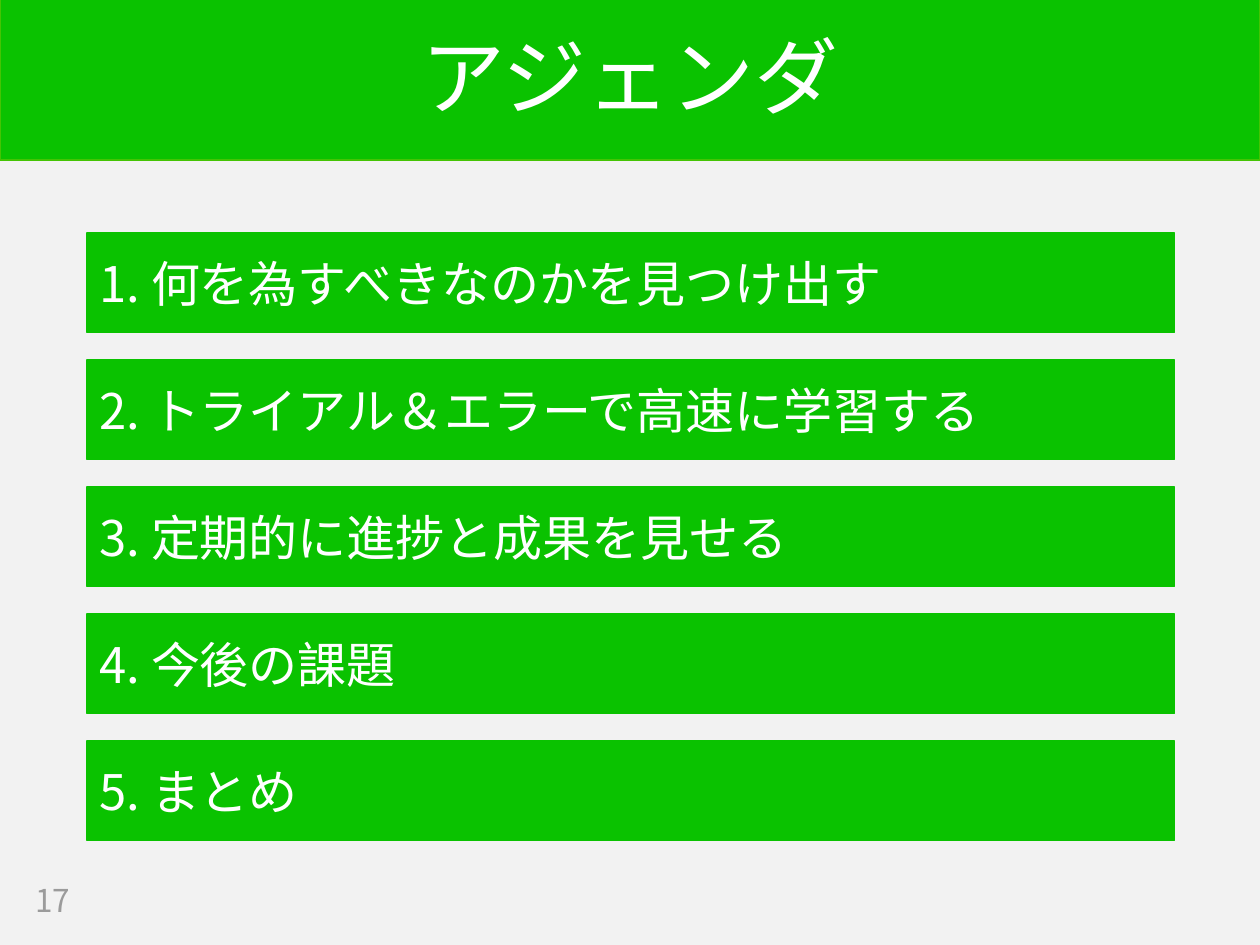
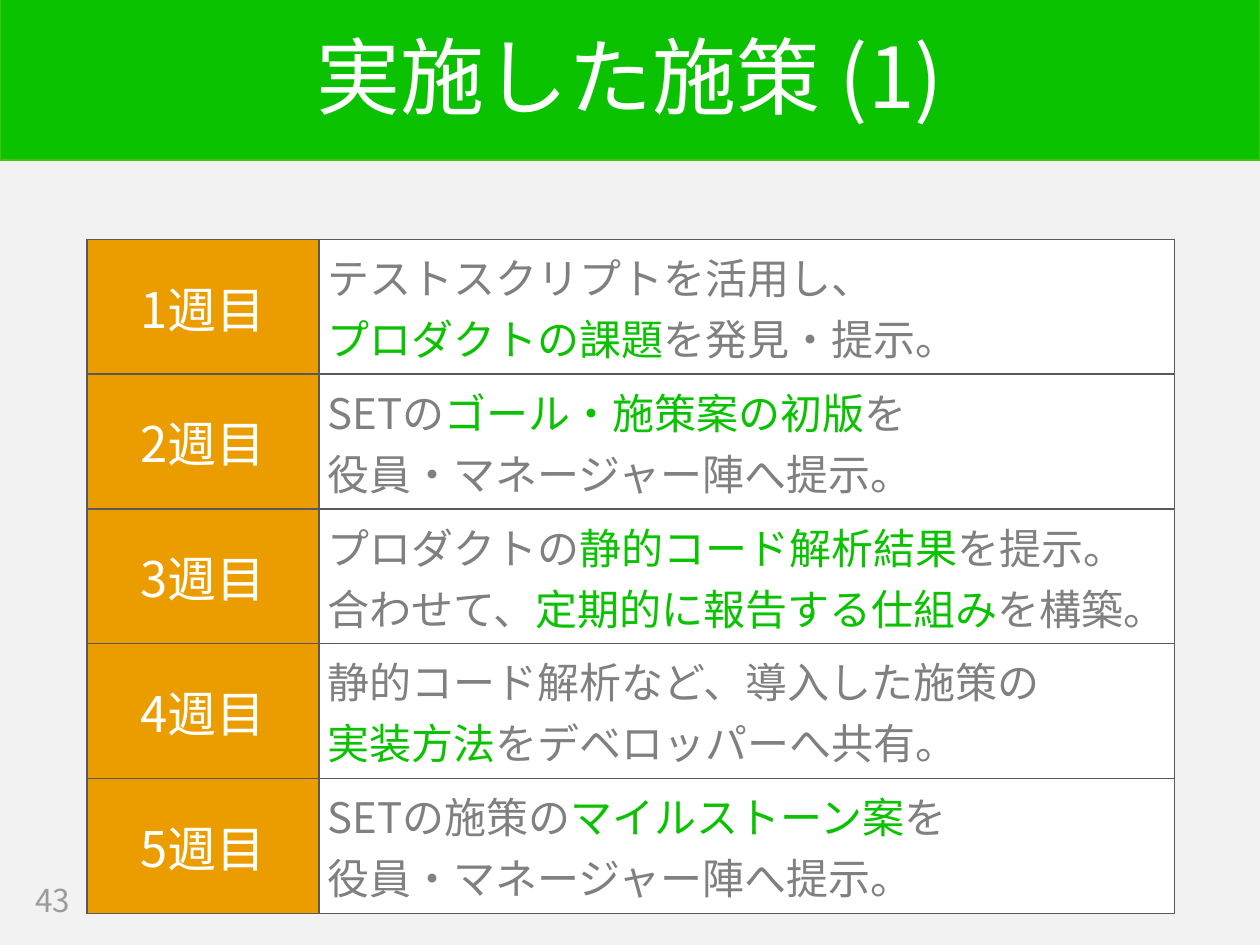
from dataclasses import dataclass
from typing import NamedTuple

from lxml.etree import SubElement
from pptx import Presentation
from pptx.dml.color import RGBColor
from pptx.enum.shapes import MSO_SHAPE as Shape
from pptx.enum.text import MSO_ANCHOR as Anchor, PP_ALIGN as Align
from pptx.oxml.ns import qn
from pptx.util import Inches, Pt


@dataclass(frozen=True)
class Theme:
    font: str = "Noto Sans CJK JP"
    background: str = "F2F2F2"
    green: str = "0AC200"
    band_edge: str = "44C404"
    orange: str = "EB9D00"
    white: str = "FFFFFF"
    body: str = "808080"
    number: str = "9B9B9B"
    border: str = "595959"
    title_size: int = 48
    item_size: int = 28
    body_size: int = 24
    number_size: int = 18


THEME = Theme()


class Box(NamedTuple):
    left: float
    top: float
    width: float
    height: float

    def lengths(self) -> list:
        return [Inches(value) for value in self]


class Line(NamedTuple):
    before: str = ""
    key: str = ""
    after: str = ""


class Week(NamedTuple):
    label: str
    lines: tuple[Line, ...]


BAND = Box(0, -0.01, 10, 1.28)
TITLE = Box(0, 0.36, 10, 0.57)
PAGE_NUMBER = Box(0.18, 6.95, 0.79, 0.39)

FIRST_ITEM = Box(0.69, 1.85, 8.63, 0.79)
LAST_ITEM_TOP = 5.88
AGENDA = (
    "何を為すべきなのかを見つけ出す",
    "トライアル＆エラーで高速に学習する",
    "定期的に進捗と成果を見せる",
    "今後の課題",
    "まとめ",
)

WEEK_COLUMNS = (1.84, 6.79)
WEEK_ROW = 1.07
WEEKS = (
    Week("1週目", (Line("テストスクリプトを活用し、"),
                  Line("", "プロダクトの課題", "を発見・提示。"))),
    Week("2週目", (Line("SETの", "ゴール・施策案の初版", "を"),
                  Line("役員・マネージャー陣へ提示。"))),
    Week("3週目", (Line("プロダクトの", "静的コード解析結果", "を提示。"),
                  Line("合わせて、", "定期的に報告する仕組み", "を構築。"))),
    Week("4週目", (Line("静的コード解析など、導入した施策の"),
                  Line("", "実装方法", "をデベロッパーへ共有。"))),
    Week("5週目", (Line("SETの施策の", "マイルストーン案", "を"),
                  Line("役員・マネージャー陣へ提示。"))),
)


def rgb(color: str) -> RGBColor:
    return RGBColor.from_string(color)


def style_paragraph(paragraph, size: int, color: str, align=Align.LEFT) -> None:
    paragraph.alignment = align
    font = paragraph.font
    font.size, font.name = Pt(size), THEME.font
    font.color.rgb = rgb(color)
    defaults = paragraph._p.pPr.find(qn("a:defRPr"))
    SubElement(defaults, qn("a:ea"), typeface=THEME.font)


def write_text(frame, text: str, size: int, color: str, align=Align.LEFT):
    frame.word_wrap = True
    frame.vertical_anchor = Anchor.MIDDLE
    paragraph = frame.paragraphs[0]
    paragraph.text = text
    style_paragraph(paragraph, size, color, align)
    return paragraph


def add_bar(slide, box: Box, edge: str, edge_width: float):
    bar = slide.shapes.add_shape(Shape.RECTANGLE, *box.lengths())
    bar.shadow.inherit = False
    bar.fill.solid()
    bar.fill.fore_color.rgb = rgb(THEME.green)
    bar.line.color.rgb = rgb(edge)
    bar.line.width = Pt(edge_width)
    return bar


def add_base_slide(deck, title: str, number: int):
    """Add a slide with the shared background, title band and page number."""
    slide = deck.slides.add_slide(deck.slide_layouts[6])
    slide.background.fill.solid()
    slide.background.fill.fore_color.rgb = rgb(THEME.background)
    add_bar(slide, BAND, THEME.band_edge, 1)
    heading = slide.shapes.add_textbox(*TITLE.lengths())
    write_text(heading.text_frame, title, THEME.title_size, THEME.white,
               Align.CENTER).line_spacing = 0.9
    footer = slide.shapes.add_textbox(*PAGE_NUMBER.lengths())
    write_text(footer.text_frame, str(number), THEME.number_size, THEME.number)
    return slide


def format_cell(cell, fill: str) -> None:
    cell.margin_left = cell.margin_right = Inches(0.07)
    cell.margin_top = cell.margin_bottom = Inches(0.05)
    cell.vertical_anchor = Anchor.MIDDLE
    properties = cell._tc.get_or_add_tcPr()
    for side in ("lnL", "lnR", "lnT", "lnB"):
        border = SubElement(properties, qn(f"a:{side}"), w=str(Pt(1)))
        paint = SubElement(border, qn("a:solidFill"))
        SubElement(paint, qn("a:srgbClr"), val=THEME.border)
    cell.fill.solid()
    cell.fill.fore_color.rgb = rgb(fill)


def write_lines(frame, lines: tuple[Line, ...]) -> None:
    """Write one paragraph per line, with its key phrase in green."""
    for index, line in enumerate(lines):
        paragraph = frame.add_paragraph() if index else frame.paragraphs[0]
        style_paragraph(paragraph, THEME.body_size, THEME.body)
        for part, text in line._asdict().items():
            if text:
                run = paragraph.add_run()
                run.text = text
                if part == "key":
                    run.font.color.rgb = rgb(THEME.green)


def build_agenda(deck) -> None:
    slide = add_base_slide(deck, "アジェンダ", 17)
    pitch = (LAST_ITEM_TOP - FIRST_ITEM.top) / (len(AGENDA) - 1)
    for index, item in enumerate(AGENDA):
        box = FIRST_ITEM._replace(top=FIRST_ITEM.top + index * pitch)
        bar = add_bar(slide, box, THEME.green, 0.75)
        write_text(bar.text_frame, f"{index + 1}. {item}",
                   THEME.item_size, THEME.white)


def build_weeks(deck) -> None:
    slide = add_base_slide(deck, "実施した施策 (1)", 43)
    box = Box(0.69, 1.9, sum(WEEK_COLUMNS), WEEK_ROW * len(WEEKS))
    schedule = slide.shapes.add_table(
        len(WEEKS), len(WEEK_COLUMNS), *box.lengths()).table
    schedule.first_row = schedule.horz_banding = False
    for column, width in zip(schedule.columns, WEEK_COLUMNS):
        column.width = Inches(width)
    for row, week in zip(schedule.rows, WEEKS):
        row.height = Inches(WEEK_ROW)
        label, measures = row.cells
        format_cell(label, THEME.orange)
        write_text(label.text_frame, week.label, THEME.item_size,
                   THEME.white, Align.CENTER)
        format_cell(measures, THEME.white)
        write_lines(measures.text_frame, week.lines)


def main() -> None:
    deck = Presentation()
    deck.slide_width, deck.slide_height = Inches(10), Inches(7.5)
    build_agenda(deck)
    build_weeks(deck)
    deck.save("out.pptx")


if __name__ == "__main__":
    main()
